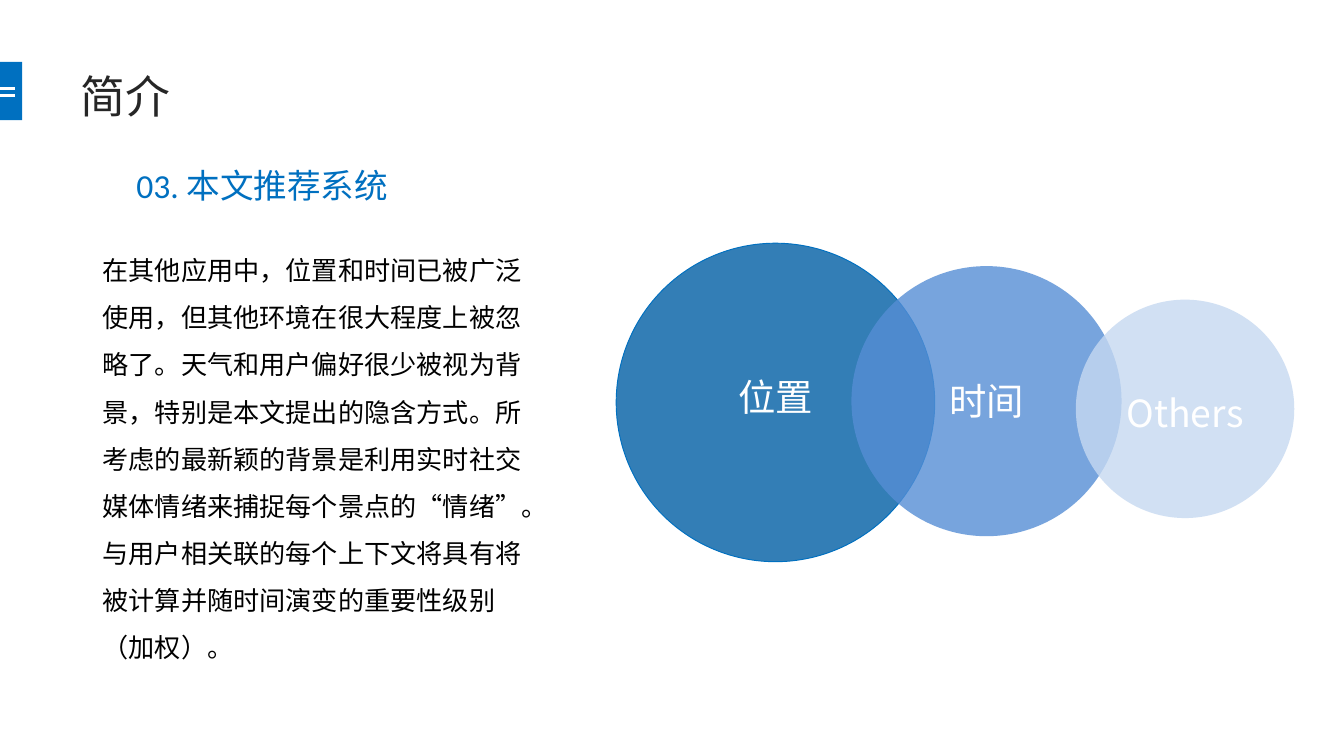
from lxml import etree
from pptx import Presentation
from pptx import util as u
from pptx.dml import color
from pptx.enum import shapes, text
from pptx.oxml import ns

PX = 4572
CJK = "Noto Sans CJK SC"
BLUE, WHITE = "0070C0", "FFFFFF"
STORY = (
    "在其他应用中，位置和时间已被广泛使用，但其他环境在很大程度上被忽略了。"
    "天气和用户偏好很少被视为背景，特别是本文提出的隐含方式。"
    "所考虑的最新颖的背景是利用实时社交媒体情绪来捕捉每个景点的“情绪”。"
    "与用户相关联的每个上下文将具有将被计算并随时间演变的重要性级别（加权）。"
)


def px(*vals):
    """Turn px lengths into EMU."""
    return [u.Emu(v * PX) for v in vals]


def paint(fmt, tone):
    """Give a fill or line format a solid hex colour."""
    fmt.solid()
    fmt.fore_color.rgb = color.RGBColor.from_string(tone)


def sub(node, tag, **attrs):
    """Append a DrawingML child element."""
    return etree.SubElement(node, ns.qn(tag), **attrs)


def write(frame, *parts, size, tone, align=text.PP_ALIGN.LEFT, space=1.0,
          anchor=text.MSO_ANCHOR.TOP):
    """Fill a frame with one paragraph of (words, font) parts."""
    frame.word_wrap = True
    frame.auto_size = text.MSO_AUTO_SIZE.NONE
    frame.vertical_anchor = anchor
    para = frame.paragraphs[0]
    para.alignment, para.line_spacing = align, space
    para.space_before = u.Pt(0)
    for words, face in parts:
        run = para.add_run()
        run.text = words
        run.font.size = u.Pt(size)
        paint(run.font.fill, tone)
        run.font.name = face
        sub(run.font._element, "a:ea", typeface=CJK)
    return para


def place(shape, box):
    """Move a shape into a px box."""
    shape.left, shape.top, shape.width, shape.height = px(*box)


def mark(slide, box):
    """Draw the edge tab with its two white strokes."""
    x, y, w, h = box
    tab = slide.shapes.add_shape(shapes.MSO_SHAPE.RECTANGLE, *px(*box))
    tab.shadow.inherit = False
    paint(tab.fill, BLUE)
    tab.line.fill.background()
    for dy in (40, 50):
        bar = slide.shapes.add_connector(
            shapes.MSO_CONNECTOR.STRAIGHT, *px(x, y + dy, x + w - 11, y + dy))
        paint(bar.line.fill, WHITE)
        bar.line.width = u.Pt(1.5)
        sub(bar._element.spPr, "a:effectLst")


def heads(slide, box):
    """Set the title and the numbered heading below it."""
    x, y, w, h = box
    title, body = slide.placeholders
    place(title, box)
    write(title.text_frame, ("简介", "Calibri"), size=24, tone="262626",
          anchor=text.MSO_ANCHOR.MIDDLE)
    place(body, (x + 83, y + 134, 486, 62))
    para = write(body.text_frame, ("03. 本文", "Calibri"),
                 ("推荐系统", "Roboto Condensed"),
                 size=18, tone=BLUE, space=1.1)
    props = para._p.get_or_add_pPr()
    props.set("marL", "0")
    props.set("indent", "0")
    sub(props, "a:buNone")


def story(slide, box):
    """Set the running text."""
    note = slide.shapes.add_textbox(*px(*box))
    write(note.text_frame, (STORY, "Calibri"), size=14, tone="000000",
          space=1.5)


def disc(slide, box, label, tone, edge=None, lift=0, drop=0):
    """Draw one translucent labelled circle."""
    ring = slide.shapes.add_shape(shapes.MSO_SHAPE.OVAL, *px(*box))
    ring.shadow.inherit = False
    paint(ring.fill, tone)
    tint = ring._element.spPr.find(ns.qn("a:solidFill"))[0]
    sub(tint, "a:alpha", val="80000")
    if edge:
        paint(ring.line.fill, edge)
        ring.line.width = u.Pt(0.5)
    else:
        ring.line.fill.background()
    frame = ring.text_frame
    frame.margin_left, frame.margin_right = px(0, 0)
    frame.margin_top, frame.margin_bottom = px(drop, lift)
    write(frame, (label, CJK), size=20, tone=WHITE,
          align=text.PP_ALIGN.CENTER, anchor=text.MSO_ANCHOR.MIDDLE)


def chain(slide, box):
    """Draw the three overlapping circles."""
    x, y, w, h = box
    disc(slide, (x, y, h, h), "位置", "005EA4", edge=BLUE, lift=18)
    disc(slide, (x + 350, y + 34, 402, 402), "时间", "558ED5", lift=2)
    disc(slide, (x + w - 325, y + 84, 325, 325), "Others", "C6D9F1", drop=10)


def main():
    """Build and save the slide."""
    deck = Presentation()
    deck.slide_width, deck.slide_height = px(2000, 1125)
    slide = deck.slides.add_slide(deck.slide_layouts[1])
    mark(slide, (0, 92, 33, 87))
    heads(slide, (100, 96, 1666, 92))
    chain(slide, (917, 362, 1009, 474))
    story(slide, (133, 346, 700, 656))
    deck.save("out.pptx")


if __name__ == "__main__":
    main()
